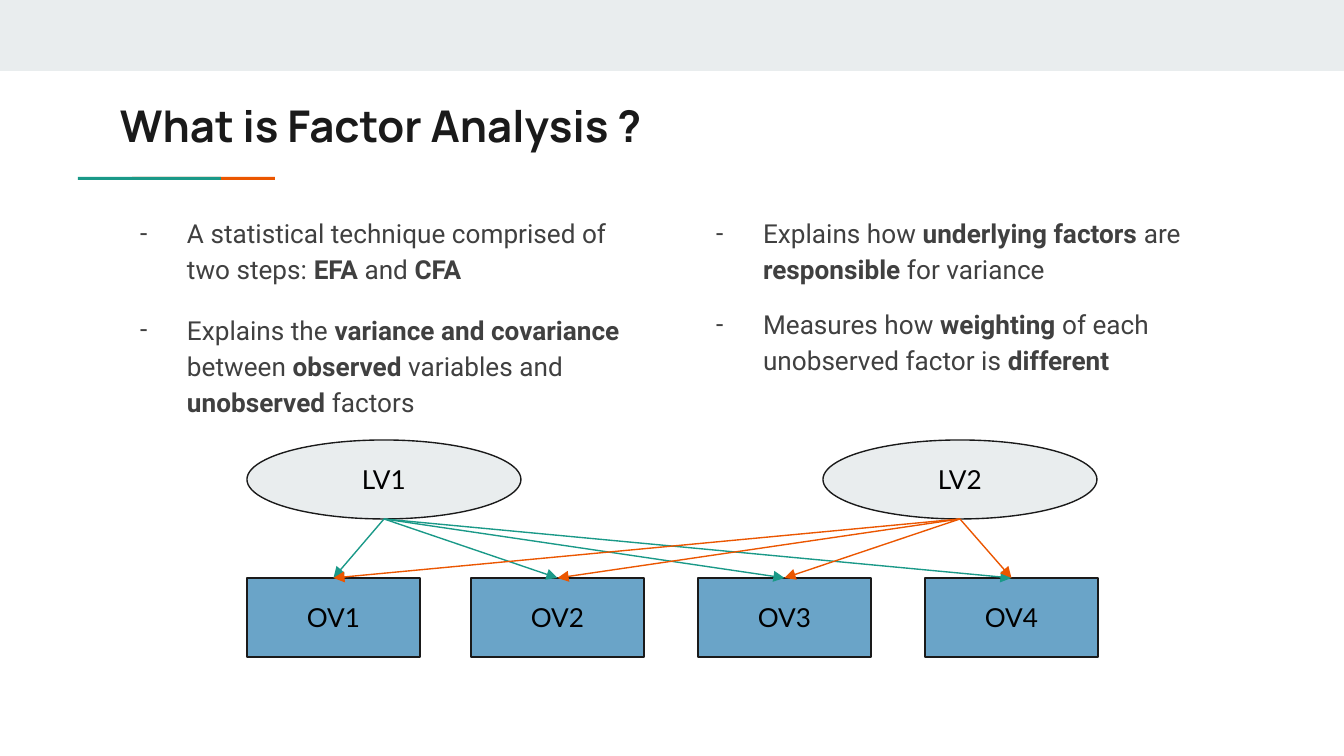
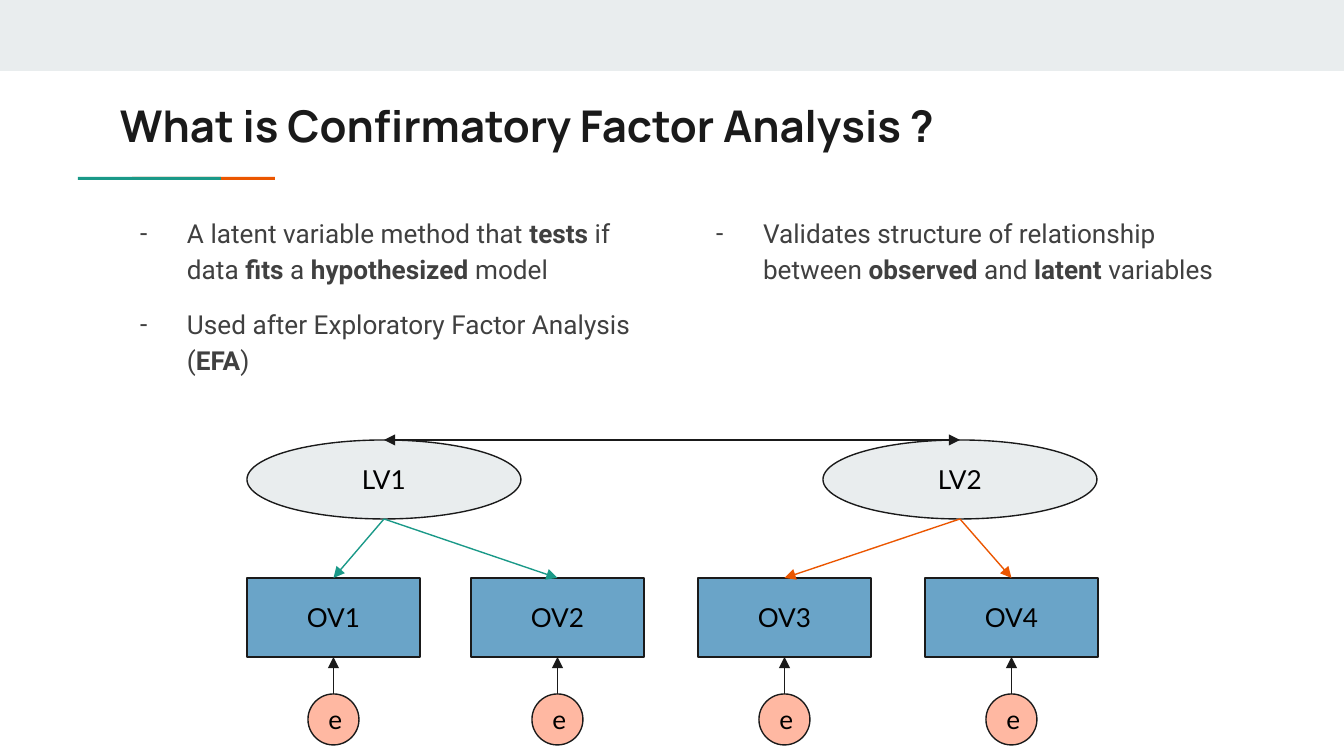
from lxml import etree
from pptx import Presentation
from pptx.dml.color import RGBColor
from pptx.enum.shapes import MSO_CONNECTOR, MSO_SHAPE
from pptx.enum.text import MSO_ANCHOR, PP_ALIGN
from pptx.oxml.ns import qn
from pptx.util import Pt

WIDTH, HEIGHT = 1344, 756
SCALE = 9144000 / WIDTH

INK, BODY, BLACK = "1A1A1A", "404040", "000000"
PALE, TEAL, ORANGE = "E9EDEE", "1A9988", "EB5600"
BLUE, PEACH = "6AA4C8", "FFB8A2"

INSET = 13
OBSERVED_X = (0, 224, 451, 678)  # offsets inside the diagram


def px(n):
    return round(n * SCALE)


def color(hex_value):
    return RGBColor.from_string(hex_value)


def style_run(r, font, size, hex_value, bold=False):
    r.font.name = font
    r.font.size = Pt(size)
    r.font.color.rgb = color(hex_value)
    r.font.bold = bold


def set_frame(tf):
    tf.word_wrap = True
    tf.margin_left = tf.margin_right = px(INSET)
    tf.margin_top = tf.margin_bottom = px(INSET)


def add_box(slide, kind, box, fill, line=None):
    sp = slide.shapes.add_shape(kind, *map(px, box))
    sp.shadow.inherit = False
    sp.fill.solid()
    sp.fill.fore_color.rgb = color(fill)
    if line:
        sp.line.color.rgb = color(line)
        sp.line.width = Pt(0.75)
    else:
        sp.line.fill.background()
    return sp


def add_node(slide, kind, box, fill, label):
    sp = add_box(slide, kind, box, fill, INK)
    tf = sp.text_frame
    set_frame(tf)
    tf.vertical_anchor = MSO_ANCHOR.MIDDLE
    tf.text = label
    p = tf.paragraphs[0]
    p.alignment = PP_ALIGN.CENTER
    style_run(p.runs[0], "Lato", 14, BLACK)
    return sp


def bottom_center(sp):
    return sp.left + sp.width // 2, sp.top + sp.height


def add_arrow(slide, hex_value, start=None, begin=None, end=None, both=False):
    """Arrow from a point or the top of a node, to a (node, side) pair."""
    x, y = start or (0, 0)
    cx = slide.shapes.add_connector(MSO_CONNECTOR.STRAIGHT, x, y, x, y)
    if begin:
        cx.begin_connect(begin, 0)
    cx.end_connect(*end)
    cx.line.color.rgb = color(hex_value)
    cx.line.width = Pt(0.75)
    ln = cx.line._get_or_add_ln()
    for tag in ("a:headEnd", "a:tailEnd") if both else ("a:tailEnd",):
        etree.SubElement(ln, qn(tag), type="triangle")
    etree.SubElement(cx._element.spPr, qn("a:effectLst"))


def add_header(slide, title):
    # Top band and two-colour rule
    add_box(slide, MSO_SHAPE.RECTANGLE, (0, 0, WIDTH, 71), PALE)
    for x, fill in ((132, ORANGE), (78, TEAL)):
        add_box(slide, MSO_SHAPE.RECTANGLE, (x, 177, 143, 3), fill)
    # Title
    tf = slide.shapes.add_textbox(*map(px, (107, 86, 1130, 79))).text_frame
    set_frame(tf)
    tf.text = title
    style_run(tf.paragraphs[0].runs[0], "Manrope", 23.4, INK, True)


def add_bullets(slide, box, items):
    """Items are (space before, text); ** switches bold on and off."""
    tf = slide.shapes.add_textbox(*map(px, box)).text_frame
    set_frame(tf)
    for i, (space, text) in enumerate(items):
        p = tf.add_paragraph() if i else tf.paragraphs[0]
        p.line_spacing = 1.15
        p.space_before = Pt(space)
        pPr = p._p.get_or_add_pPr()
        pPr.set("marL", str(px(67)))
        pPr.set("indent", str(px(-47)))
        clr = etree.SubElement(pPr, qn("a:buClr"))
        etree.SubElement(clr, qn("a:srgbClr"), val=BODY)
        etree.SubElement(pPr, qn("a:buFont"), typeface="Roboto")
        etree.SubElement(pPr, qn("a:buChar"), char="-")
        for n, part in enumerate(text.split("**")):
            if part:
                r = p.add_run()
                r.text = part
                style_run(r, "Roboto", 14, BODY, n % 2 == 1)


def add_diagram(slide, left, top, loadings, confirmatory=False):
    # Latent and observed variables
    latent = [add_node(slide, MSO_SHAPE.OVAL, (left + x, top, 274, 79), PALE, f"LV{i}")
              for i, x in enumerate((0, 576), 1)]
    observed = [add_node(slide, MSO_SHAPE.RECTANGLE, (left + x, top + 138, 173, 79),
                         BLUE, f"OV{i}")
                for i, x in enumerate(OBSERVED_X, 1)]
    # Loadings
    for lv, hex_value, targets in zip(latent, (TEAL, ORANGE), loadings):
        for t in targets:
            add_arrow(slide, hex_value, start=bottom_center(lv), end=(observed[t], 0))
    if not confirmatory:
        return
    # Covariance and error terms
    add_arrow(slide, INK, begin=latent[0], end=(latent[1], 0), both=True)
    for x, ov in zip(OBSERVED_X, observed):
        error = add_node(slide, MSO_SHAPE.OVAL, (left + x + 61, top + 254, 51, 51),
                         PEACH, "e")
        add_arrow(slide, INK, begin=error, end=(ov, 2))


def add_factor_slide(prs, title, columns, loadings, confirmatory=False):
    slide = prs.slides.add_slide(prs.slide_layouts[6])
    add_header(slide, title)
    for x, (height, items) in zip((107, 683), columns):
        add_bullets(slide, (x, 200, 555, height), items)
    add_diagram(slide, 247, 440, loadings, confirmatory)


def main():
    prs = Presentation()
    prs.slide_width, prs.slide_height = px(WIDTH), px(HEIGHT)

    add_factor_slide(
        prs, "What is Factor Analysis ?",
        [(437, [(10, "A statistical technique comprised of two steps: **EFA** and **CFA**"),
                (13, "Explains the **variance and covariance** between **observed** "
                     "variables and **unobserved** factors")]),
         (437, [(10, "Explains how **underlying factors** are **responsible** for variance"),
                (10, "Measures how **weighting** of each unobserved factor is "
                     "**different**")])],
        [range(4), range(4)])

    add_factor_slide(
        prs, "What is Confirmatory Factor Analysis ?",
        [(372, [(10, "A latent variable method that **tests** if data **fits** a "
                     "**hypothesized** model"),
                (10, "Used after Exploratory Factor Analysis (**EFA**)")]),
         (317, [(10, "Validates structure of relationship between **observed** and "
                     "**latent** variables")])],
        [(0, 1), (2, 3)], confirmatory=True)

    prs.save("out.pptx")


if __name__ == "__main__":
    main()
